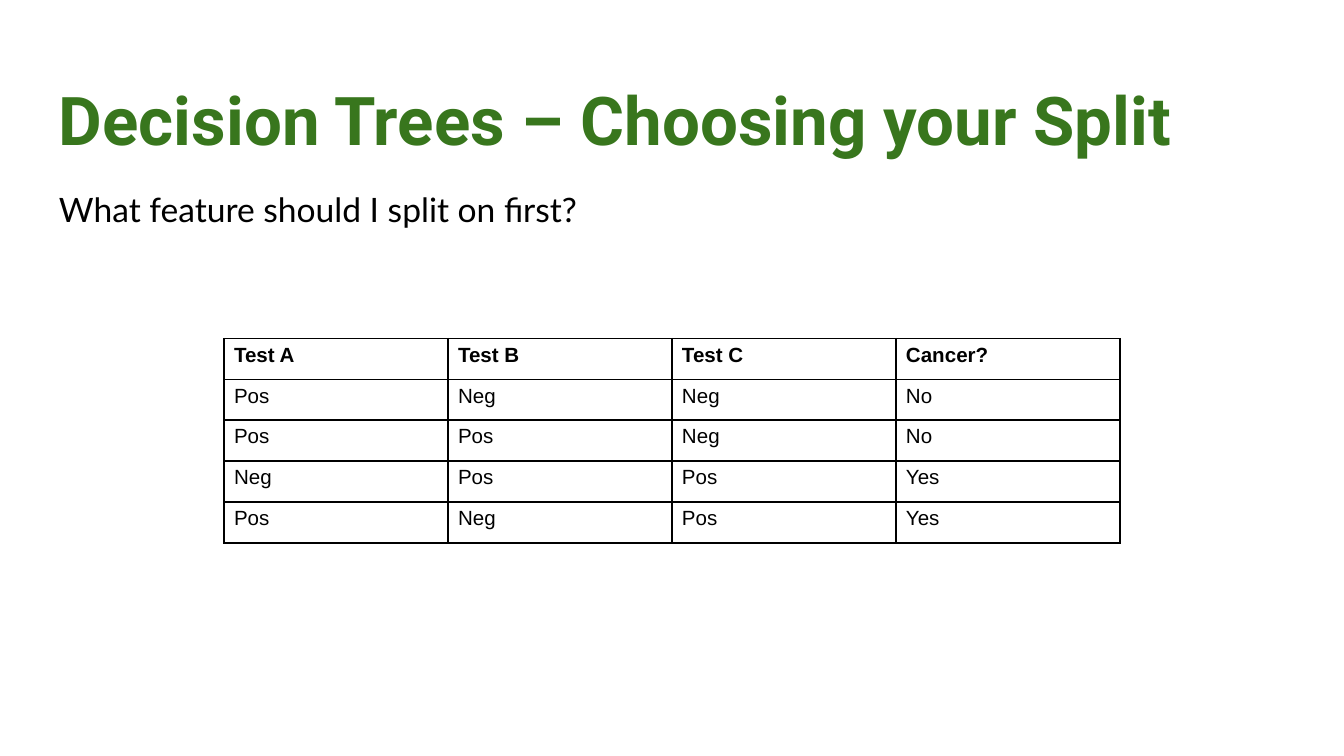
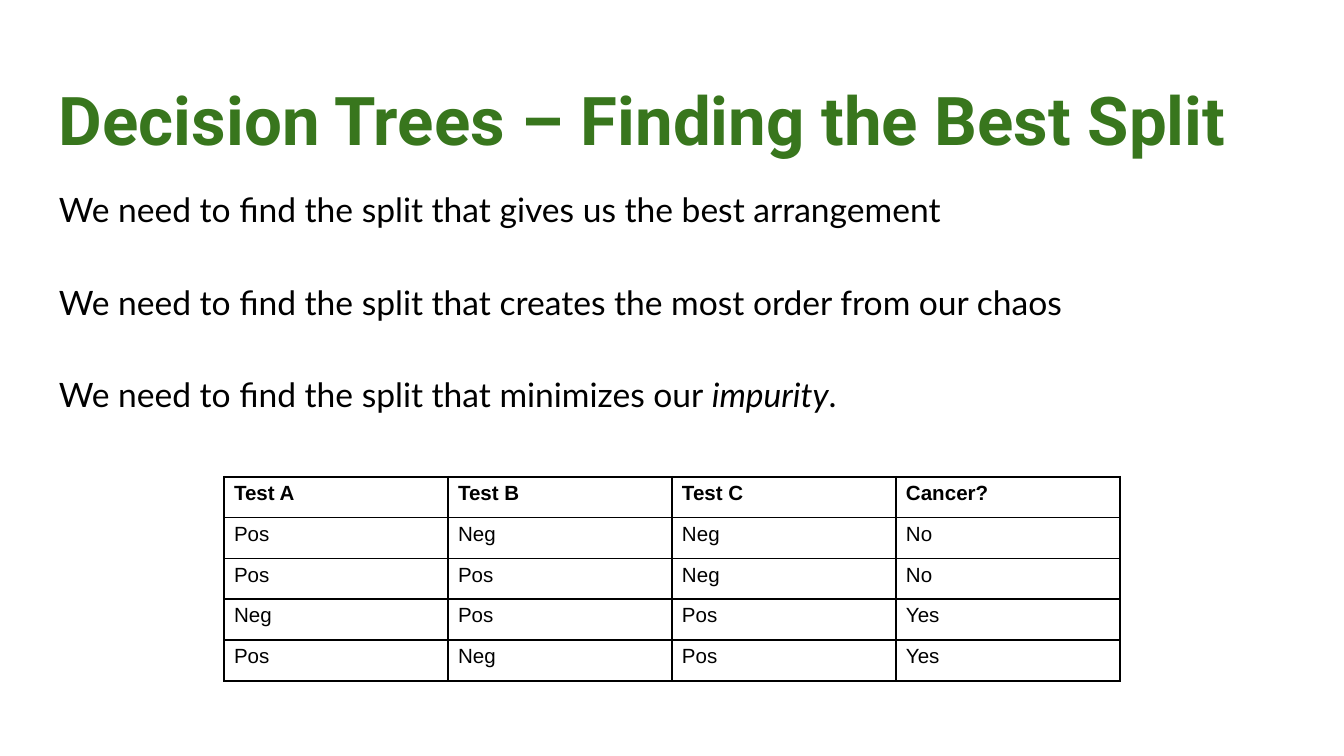
"""Build two slides on choosing the split of a decision tree."""
from lxml import etree
from pptx import Presentation
from pptx.dml.color import RGBColor
from pptx.enum import text
from pptx.oxml import ns
from pptx.util import Pt

COLORS = {"title": "38761D", "ink": "000000", "paper": "FFFFFF"}
LEFT, WIDTH = 24.5, 671
TABLE_LEFT, COLUMN_WIDTH, ROW_HEIGHT = 120, 120, 21.9
LINE_GAP = 24.8
RESULTS = [
    ["Test A", "Test B", "Test C", "Cancer?"],
    ["Pos", "Neg", "Neg", "No"],
    ["Pos", "Pos", "Neg", "No"],
    ["Neg", "Pos", "Pos", "Yes"],
    ["Pos", "Neg", "Pos", "Yes"],
]
SLIDES = [
    {
        "title": "Decision Trees – Choosing your Split",
        "body": [[("What feature should I split on first?", False)]],
        "table_top": 181.4,
    },
    {
        "title": "Decision Trees – Finding the Best Split",
        "body": [
            [("We need to find the split that gives us the best arrangement", False)],
            [("We need to find the split that creates the most order from our chaos", False)],
            [("We need to find the split that minimizes our ", False), ("impurity", True), (".", False)],
        ],
        "table_top": 255.4,
    },
]


def add_run(paragraph, words, font="Arial", size=11, color="ink", bold=False, italic=False):
    run = paragraph.add_run()
    run.text = words
    run.font.name = font
    run.font.size = Pt(size)
    run.font.bold = bold
    run.font.italic = italic
    run.font.color.rgb = RGBColor.from_string(COLORS[color])


def add_text_frame(slide, top, height):
    frame = slide.shapes.add_textbox(Pt(LEFT), Pt(top), Pt(WIDTH), Pt(height)).text_frame
    frame.word_wrap = True
    frame.auto_size = text.MSO_AUTO_SIZE.NONE
    frame.vertical_anchor = text.MSO_ANCHOR.TOP
    frame.margin_left = frame.margin_right = frame.margin_top = frame.margin_bottom = Pt(7.2)
    return frame


presentation = Presentation()
presentation.slide_width = Pt(720)
presentation.slide_height = Pt(405)

for content in SLIDES:
    slide = presentation.slides.add_slide(presentation.slide_layouts[6])
    slide.background.fill.solid()
    slide.background.fill.fore_color.rgb = RGBColor.from_string(COLORS["paper"])

    title = add_text_frame(slide, 35, 45.1)
    add_run(title.paragraphs[0], content["title"], font="Roboto", size=36, color="title", bold=True)

    body = add_text_frame(slide, 90.75, 269)
    for index, runs in enumerate(content["body"]):
        paragraph = body.add_paragraph() if index else body.paragraphs[0]
        paragraph.line_spacing = 1.15
        paragraph.space_before = Pt(LINE_GAP if index else 0)
        for words, italic in runs:
            add_run(paragraph, words, font="Lato", size=18, italic=italic)

    rows, columns = len(RESULTS), len(RESULTS[0])
    table = slide.shapes.add_table(
        rows, columns, Pt(TABLE_LEFT), Pt(content["table_top"]),
        Pt(columns * COLUMN_WIDTH), Pt(rows * ROW_HEIGHT)).table
    for row_index, values in enumerate(RESULTS):
        table.rows[row_index].height = Pt(ROW_HEIGHT)
        for column_index, value in enumerate(values):
            cell = table.cell(row_index, column_index)
            cell.margin_left = cell.margin_right = Pt(5.4)
            cell.margin_top = cell.margin_bottom = Pt(2.7)
            add_run(cell.text_frame.paragraphs[0], value, bold=row_index == 0)
            properties = cell._tc.get_or_add_tcPr()
            for side in ("lnL", "lnR", "lnT", "lnB"):
                border = etree.SubElement(properties, ns.qn("a:" + side), w=str(Pt(1)))
                fill = etree.SubElement(border, ns.qn("a:solidFill"))
                etree.SubElement(fill, ns.qn("a:srgbClr"), val=COLORS["ink"])
            cell.fill.solid()
            cell.fill.fore_color.rgb = RGBColor.from_string(COLORS["paper"])

presentation.save("out.pptx")
